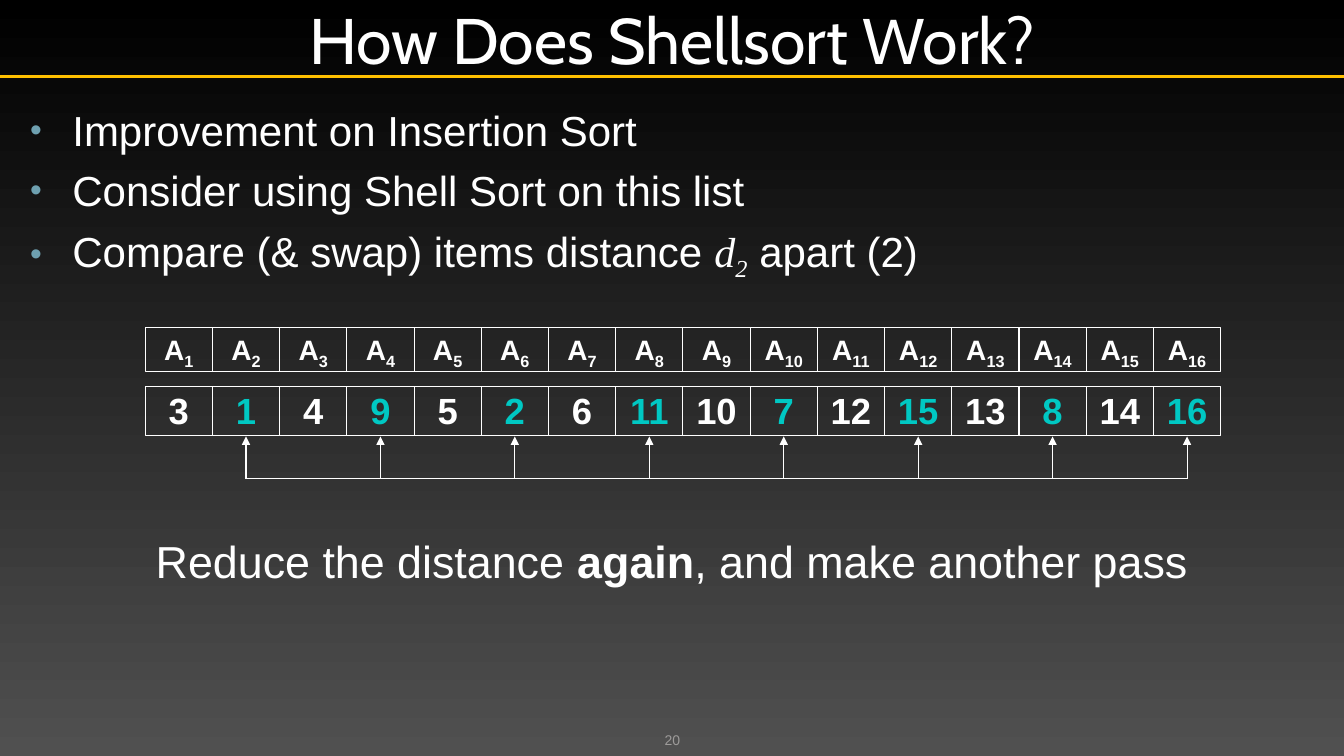
import pptx
import pptx.util
import pptx.dml.color
import pptx.enum.shapes
import pptx.enum.text
import lxml.etree
from pptx.oxml.ns import qn

Inches = pptx.util.Inches
Pt = pptx.util.Pt
RGB = pptx.dml.color.RGBColor
Align = pptx.enum.text.PP_ALIGN
Anchor = pptx.enum.text.MSO_ANCHOR
Fit = pptx.enum.text.MSO_AUTO_SIZE

WHITE = RGB(0xFF, 0xFF, 0xFF)
BLACK = RGB(0, 0, 0)
GRAY = RGB(0x50, 0x50, 0x50)
MUTED = RGB(0x9D, 0x9B, 0x9A)
GOLD = RGB(0xFF, 0xC0, 0x00)
TEAL = RGB(0x00, 0xC8, 0xC3)
DOT = RGB(0x6E, 0xA0, 0xB0)


class Deck:
    font = "Arial"
    color = WHITE
    thin = 0.75

    def __init__(self, slide):
        self.slide = slide

    def backdrop(self, top, base):
        fill = self.slide.background.fill
        fill.gradient()
        fill.gradient_angle = 270
        for stop, color, place in zip(fill.gradient_stops, (top, base), (0, 1)):
            stop.color.rgb = color
            stop.position = place

    def run(self, para, text, size, color=None, font=None, bold=False, italic=False, sub=False):
        run = para.add_run()
        run.text = text
        run.font.size = Pt(size)
        run.font.name = font or self.font
        run.font.color.rgb = color or self.color
        run.font.bold = bold
        run.font.italic = italic
        if sub:
            run._r.get_or_add_rPr().set("baseline", "-25000")

    def frame(self, shape, inset, anchor, fit=Fit.NONE):
        frame = shape.text_frame
        frame.word_wrap = True
        frame.auto_size = fit
        frame.vertical_anchor = anchor
        frame.margin_left = frame.margin_right = Inches(inset[0])
        frame.margin_top = frame.margin_bottom = Inches(inset[1])
        frame.paragraphs[0].alignment = Align.CENTER
        return frame

    def text(self, x, y, w, h, inset=(0.1, 0.05), anchor=Anchor.TOP, fit=Fit.NONE):
        box = self.slide.shapes.add_textbox(Inches(x), Inches(y), Inches(w), Inches(h))
        return self.frame(box, inset, anchor, fit)

    def bullet(self, para, mark, color):
        para.alignment = Align.LEFT
        para.space_before = Pt(7)
        props = para._p.get_or_add_pPr()
        props.set("marL", str(Inches(0.46)))
        props.set("indent", str(Inches(-0.42)))
        tint = lxml.etree.SubElement(props, qn("a:buClr"))
        lxml.etree.SubElement(tint, qn("a:srgbClr"), val=str(color))
        lxml.etree.SubElement(props, qn("a:buSzPct"), val="80000")
        lxml.etree.SubElement(props, qn("a:buFont"), typeface=self.font)
        lxml.etree.SubElement(props, qn("a:buChar"), char=mark)

    def cell(self, x, y, w, h, pad):
        kind = pptx.enum.shapes.MSO_SHAPE.RECTANGLE
        box = self.slide.shapes.add_shape(kind, Inches(x), Inches(y), Inches(w), Inches(h))
        box.shadow.inherit = False
        box.fill.background()
        box.line.color.rgb = self.color
        box.line.width = Pt(self.thin)
        return self.frame(box, (0, pad), Anchor.TOP, Fit.SHAPE_TO_FIT_TEXT).paragraphs[0]

    def line(self, start, end, color=None, width=None, arrow=False, group=None):
        kind = pptx.enum.shapes.MSO_CONNECTOR.STRAIGHT
        owner = group or self.slide
        link = owner.shapes.add_connector(kind, *map(Inches, start + end))
        link.line.color.rgb = color or self.color
        link.line.width = Pt(width or self.thin)
        if arrow:
            lxml.etree.SubElement(link.line._get_or_add_ln(), qn("a:tailEnd"), type="triangle")
        lxml.etree.SubElement(link._element.spPr, qn("a:effectLst"))


show = pptx.Presentation()
show.slide_width = Inches(13.33)
show.slide_height = Inches(7.5)
deck = Deck(show.slides.add_slide(show.slide_layouts[6]))
deck.backdrop(BLACK, GRAY)

deck.line((0, 0.76), (13.33, 0.76), GOLD, 2.5)
title = deck.text(0, 0, 13.33, 0.76, (0.05, 0.05), Anchor.MIDDLE)
deck.run(title.paragraphs[0], "How Does Shellsort Work?", 46, font="Cabin")

serif = "Times New Roman"
points = [
    [("Improvement on Insertion Sort", {})],
    [("Consider using Shell Sort on this list", {})],
    [
        ("Compare (& swap) items distance ", {}),
        ("d", {"font": serif, "italic": True}),
        ("2", {"font": serif, "italic": True, "sub": True}),
        (" apart (2)", {}),
    ],
]
body = deck.text(0.16, 0.99, 13.01, 6.13)
for i, point in enumerate(points):
    para = body.add_paragraph() if i else body.paragraphs[0]
    deck.bullet(para, "•", DOT)
    for words, style in point:
        deck.run(para, words, 30, **style)

number = deck.text(4.56, 7.02, 4.22, 0.4, (0, 0), Anchor.BOTTOM)
deck.run(number.paragraphs[0], "20", 10, MUTED)

LEFT = 1.44
STEP = 2 / 3
GAP = 2
values = [3, 1, 4, 9, 5, 2, 6, 11, 10, 7, 12, 15, 13, 8, 14, 16]
picked = range(1, len(values), GAP)

for i in range(len(values)):
    label = deck.cell(LEFT + i * STEP, 3.25, STEP, 0.44, 0.05)
    deck.run(label, "A", 20, bold=True)
    deck.run(label, str(i + 1), 20, bold=True, sub=True)

for i, value in enumerate(values):
    item = deck.cell(LEFT + i * STEP, 3.83, STEP, 0.49, 0.02)
    deck.run(item, str(value), 26, TEAL if i in picked else WHITE, bold=True)

closing = deck.text(0, 5.25, 13.33, 0.63, fit=Fit.SHAPE_TO_FIT_TEXT).paragraphs[0]
deck.run(closing, "Reduce the distance ", 32)
deck.run(closing, "again", 32, bold=True)
deck.run(closing, ", and make another pass", 32)

comb = deck.slide.shapes.add_group_shape()
teeth = [LEFT + (i + 0.5) * STEP for i in picked]
deck.line((teeth[0], 4.75), (teeth[-1], 4.75), group=comb)
for x in teeth:
    deck.line((x, 4.75), (x, 4.33), arrow=True, group=comb)

show.save("out.pptx")
